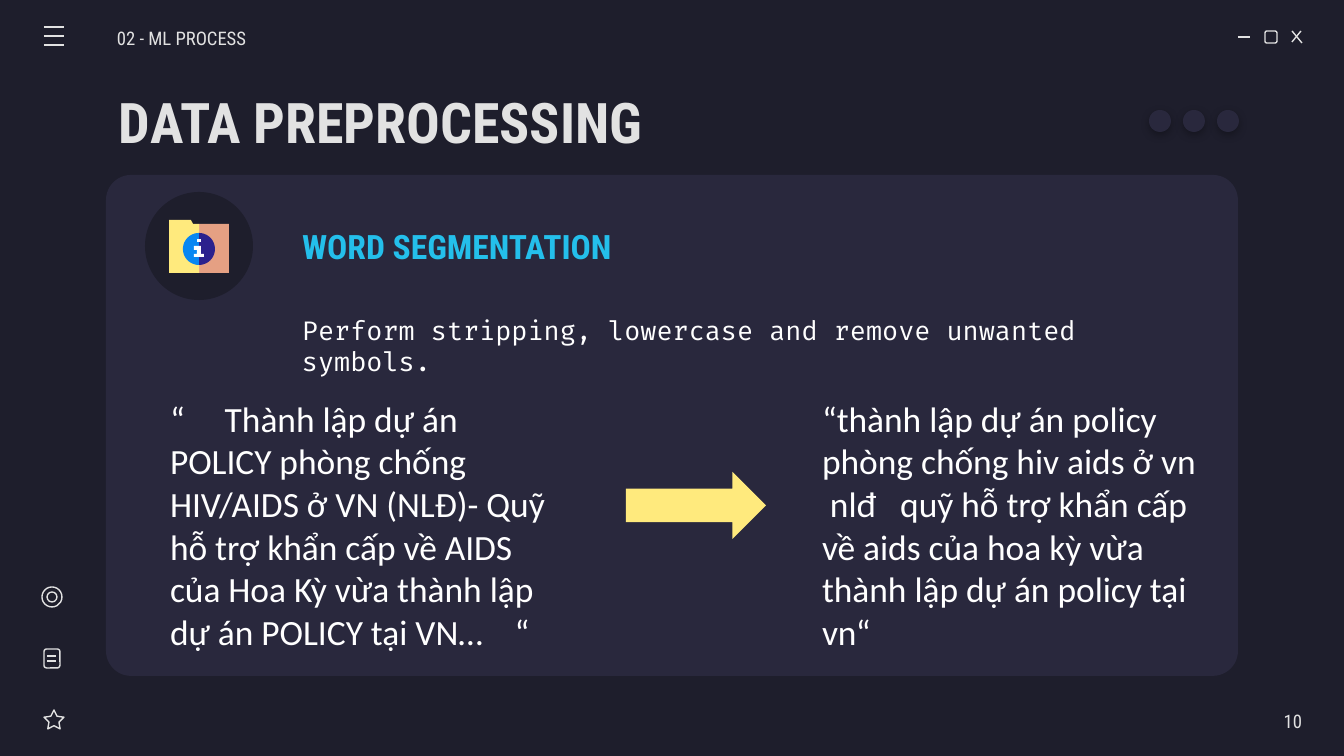
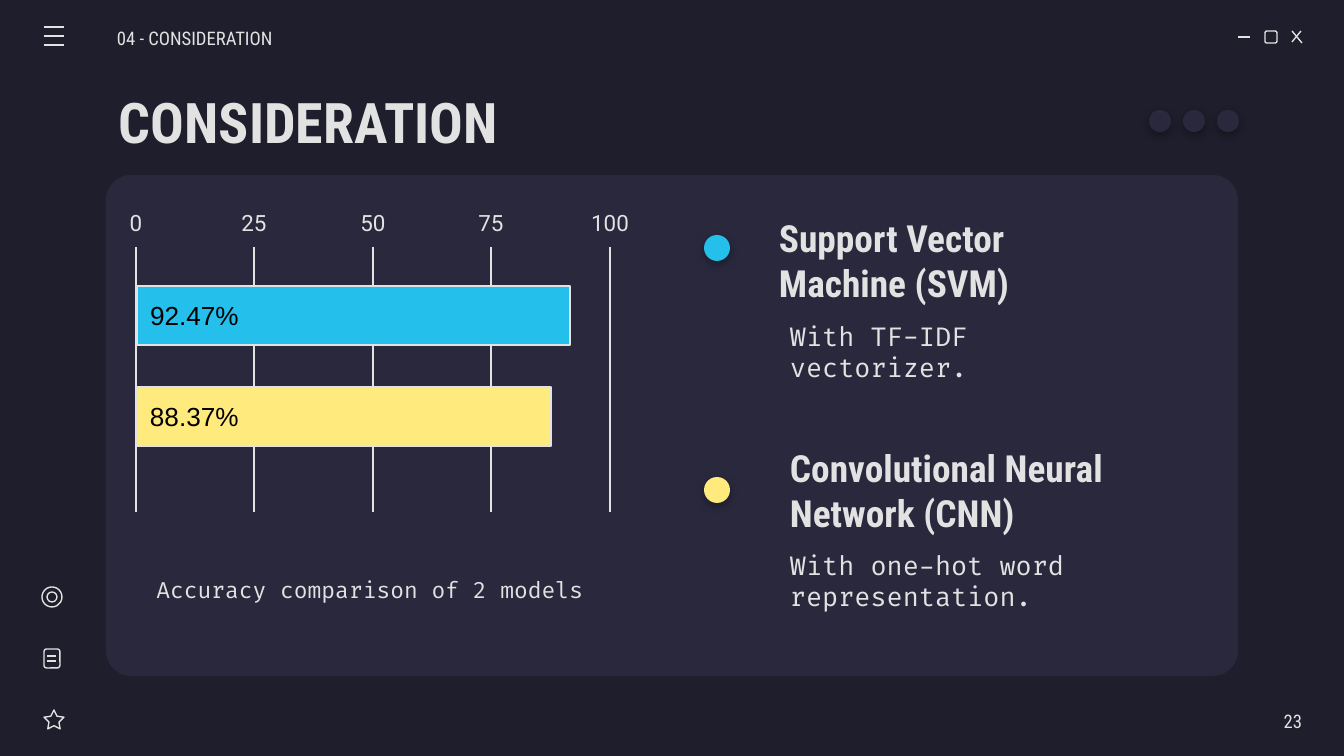
"""Builds two dark window-style slides: data preprocessing and model consideration."""
from math import cos, pi, sin

from lxml.etree import SubElement
from pptx import Presentation
from pptx.dml.color import RGBColor
from pptx.enum.shapes import MSO_CONNECTOR, MSO_SHAPE
from pptx.enum.text import MSO_ANCHOR, PP_ALIGN
from pptx.oxml.ns import qn
from pptx.util import Pt

PX = 914400 / 134.4
LINE = MSO_CONNECTOR.STRAIGHT
NIGHT, PANEL, PALE, WHITE = "1E1E2C", "29283D", "E2E2E2", "FFFFFF"
CYAN, YELLOW = "24BFEB", "FFEA7D"
CONDENSED, CODE = "Roboto Condensed", "Fira Code"
color = RGBColor.from_string


def draw(slide, kind, box, fill=None, outline=None, adjust=None, shadow=False):
    x, y, w, h = [round(v * PX) for v in box]
    if kind is LINE:
        shape = slide.shapes.add_connector(kind, x, y, x + w, y + h)
    else:
        shape = slide.shapes.add_shape(kind, x, y, w, h)
        if adjust is not None:
            shape.adjustments[0] = adjust
        if fill:
            shape.fill.solid()
            shape.fill.fore_color.rgb = color(fill)
        else:
            shape.fill.background()
    if outline:
        shape.line.color.rgb = color(outline)
        shape.line.width = Pt(0.75)
    else:
        shape.line.fill.background()
    effects = SubElement(shape.element.spPr, qn("a:effectLst"))
    if shadow:
        cast = SubElement(effects, qn("a:outerShdw"), blurRad="57150", dist="19050",
                          dir="5400000", algn="bl", rotWithShape="0")
        black = SubElement(cast, qn("a:srgbClr"), val="000000")
        SubElement(black, qn("a:alpha"), val="30000")
    return shape


def write(slide, text, box=None, host=None, size=14, font=CODE, ink=PALE, bold=False,
          align=PP_ALIGN.LEFT, anchor=MSO_ANCHOR.MIDDLE, left=13, right=13, spacing=None):
    if host is None:
        host = slide.shapes.add_textbox(*[round(v * PX) for v in box])
    frame = host.text_frame
    frame.word_wrap = True
    frame.vertical_anchor = anchor
    frame.margin_left, frame.margin_right = round(left * PX), round(right * PX)
    frame.margin_top = frame.margin_bottom = round(13 * PX)
    paragraph = frame.paragraphs[0]
    paragraph.alignment = align
    paragraph.line_spacing = spacing
    run = paragraph.add_run()
    run.text = text
    run.font.size, run.font.name, run.font.bold = Pt(size), font, bold
    run.font.color.rgb = color(ink)


deck = Presentation()
deck.slide_width, deck.slide_height = round(1344 * PX), round(756 * PX)

window_strokes = [(1238, 37, 12, 0), (1292, 31, 10, 12), (1301, 31, -9, 11)]
menu_strokes = [(44, y, 20, 0) for y in (27, 36, 45)]
note_strokes = [(47, y, 9, 0) for y in (656, 661)]
icons = [
    (MSO_SHAPE.ROUNDED_RECTANGLE, (1265, 31, 12, 12), None),
    (MSO_SHAPE.STAR_5_POINT, (44, 710, 20, 19), 0.25),
    (MSO_SHAPE.ROUNDED_RECTANGLE, (44, 649, 16, 19), None),
    (MSO_SHAPE.OVAL, (42, 587, 20, 20), None),
    (MSO_SHAPE.OVAL, (47, 592, 10, 10), None),
]

pages = []
for section, title, number in [("02 - ML PROCESS", "DATA PREPROCESSING", "10"),
                               ("04 - CONSIDERATION", "CONSIDERATION", "23")]:
    page = deck.slides.add_slide(deck.slide_layouts[6])
    page.background.fill.solid()
    page.background.fill.fore_color.rgb = color(NIGHT)
    draw(page, MSO_SHAPE.ROUNDED_RECTANGLE, (106, 175, 1132, 501), PANEL, adjust=0.05)
    for stroke in window_strokes + menu_strokes + note_strokes:
        draw(page, LINE, stroke, outline=PALE)
    for kind, box, adjust in icons:
        draw(page, kind, box, outline=PALE, adjust=adjust)
    for i in range(3):
        draw(page, MSO_SHAPE.OVAL, (1149 + 34 * i, 110, 22, 22), PANEL, shadow=True)
    write(page, title, (106, 79, 1059, 85), size=30, font=CONDENSED, bold=True)
    write(page, section, (117, 16, 181, 40), size=10, font=CONDENSED, left=0, spacing=1.15)
    write(page, number, (1145, 699, 157, 40), size=10, font=CONDENSED, right=0,
          align=PP_ALIGN.RIGHT, spacing=1.15)
    pages.append(page)
preprocessing, consideration = pages

draw(preprocessing, MSO_SHAPE.OVAL, (145, 192, 108, 108), NIGHT)
half_disc = [(16 * sin(pi * i / 24), -16 * cos(pi * i / 24)) for i in range(25)]
folder_parts = [
    ("E5A083", [(199, 224), (196, 249), (199, 273), (229, 273), (229, 224)]),
    (YELLOW, [(169, 220), (169, 273), (199, 273), (199, 224), (193, 224), (191, 220)]),
    ("2B218D", [(199 + x, 249 + y) for x, y in half_disc] + [(196, 249)]),
    ("0887F2", [(199 - x, 249 + y) for x, y in half_disc]),
    (WHITE, [(194, 246), (194, 250), (197, 250), (197, 254), (194, 254),
             (194, 257), (204, 257), (204, 254), (201, 254), (201, 246)]),
    (WHITE, [(197, 239), (197, 242), (201, 242), (201, 239)]),
]
for fill, outline in folder_parts:
    start, *rest = [(x * PX, y * PX) for x, y in outline]
    builder = preprocessing.shapes.build_freeform(*start)
    builder.add_line_segments(rest)
    part = builder.convert_to_shape()
    part.fill.solid()
    part.fill.fore_color.rgb = color(fill)
    part.line.fill.background()
    part.shadow.inherit = False

write(preprocessing, "WORD SEGMENTATION", (289, 204, 542, 85), size=18, font=CONDENSED,
      ink=CYAN, bold=True)
write(preprocessing, "Perform stripping, lowercase and remove unwanted symbols.",
      (289, 301, 926, 59), ink=WHITE, anchor=MSO_ANCHOR.TOP)
raw = ("“     Thành lập dự án POLICY phòng chống HIV/AIDS ở VN (NLĐ)- Quỹ hỗ trợ khẩn cấp "
       "về AIDS của Hoa Kỳ vừa thành lập dự án POLICY tại VN…    “")
cleaned = ("“thành lập dự án policy phòng chống hiv aids ở vn  nlđ   quỹ hỗ trợ khẩn cấp "
           "về aids của hoa kỳ vừa thành lập dự án policy tại vn“")
for sample, x, height in [(raw, 157, 285), (cleaned, 809, 242)]:
    write(preprocessing, sample, (x, 384, 406, height), size=19, font="Calibri", ink=WHITE,
          anchor=MSO_ANCHOR.TOP)
draw(preprocessing, MSO_SHAPE.RIGHT_ARROW, (626, 472, 140, 67), YELLOW)

for tick in range(0, 101, 25):
    x = 136 + 474 * tick // 100
    write(consideration, str(tick), (x - 33, 207, 66, 31), size=12, font="Roboto",
          align=PP_ALIGN.CENTER)
    draw(consideration, LINE, (x, 247, 0, 265), outline=PALE)
write(consideration, "Accuracy comparison of 2 models", (122, 525, 496, 130), size=12,
      align=PP_ALIGN.CENTER)

models = [
    (92.47, CYAN, 286, 235, "Support Vector Machine (SVM)", (766, 235, 340, 51),
     "With TF-IDF vectorizer.", (777, 309, 261, 85)),
    (88.37, YELLOW, 387, 477, "Convolutional Neural Network (CNN)", (777, 465, 372, 51),
     "With one-hot word representation.", (777, 538, 319, 85)),
]
for accuracy, fill, bar_y, marker_y, model, model_box, method, method_box in models:
    bar = draw(consideration, MSO_SHAPE.RECTANGLE, (137, bar_y, round(accuracy * 4.68), 59),
               fill, PALE)
    write(consideration, f"{accuracy}%", host=bar, font="Arial", ink="000000")
    draw(consideration, MSO_SHAPE.OVAL, (704, marker_y, 26, 26), fill, shadow=True)
    write(consideration, model, model_box, size=20, font=CONDENSED, bold=True)
    write(consideration, method, method_box)

deck.save("out.pptx")
